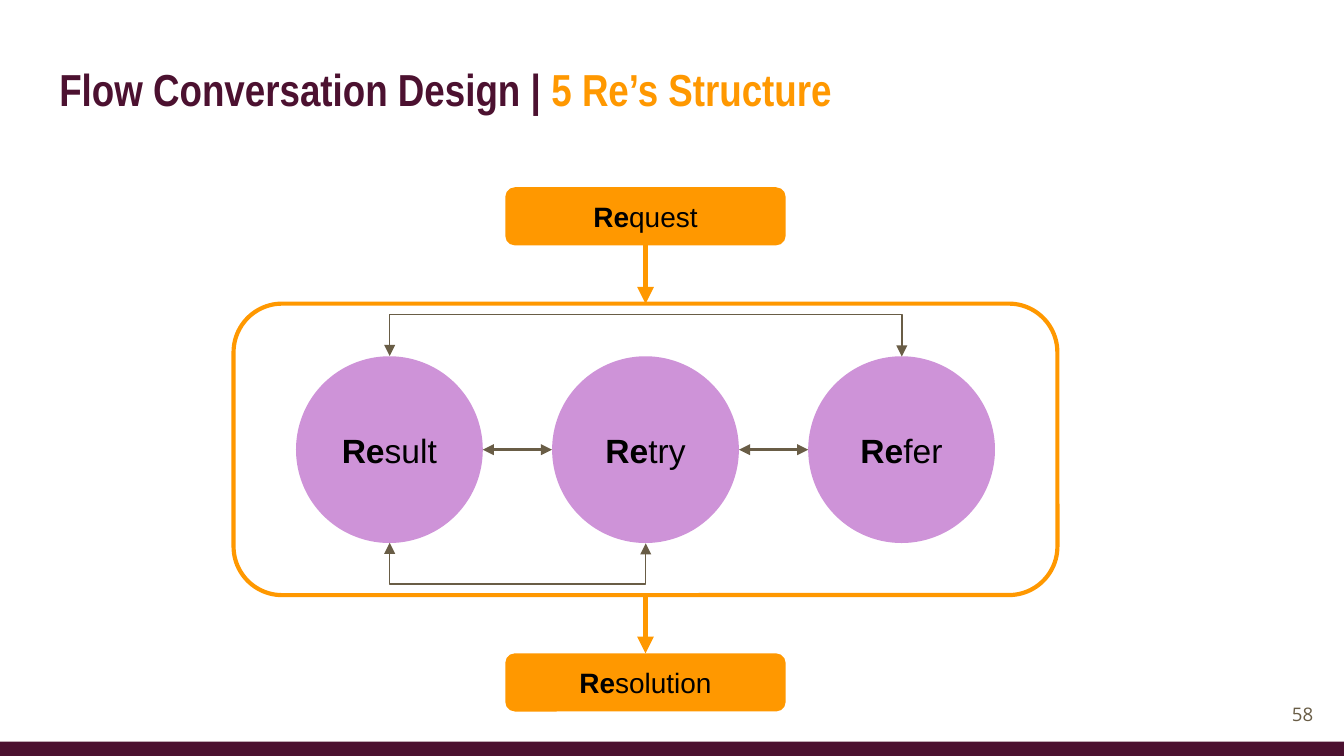
from dataclasses import dataclass

from lxml import etree
from pptx import Presentation
from pptx import util as u
from pptx.dml import color
from pptx.enum import shapes, text
from pptx.oxml import ns


@dataclass(frozen=True)
class Theme:
    plum: str = "4C1130"
    orange: str = "FF9800"
    lilac: str = "CE93D8"
    brown: str = "695D46"
    black: str = "000000"
    title_font: str = "Arial Narrow"
    body_font: str = "Arial"
    number_font: str = "Open Sans"
    title_size: int = 24
    circle_size: int = 18
    pill_size: int = 15
    number_size: int = 10


THEME = Theme()
CENTER_X, CENTER_Y = 12.2, 8.5
DIAMETER, STEP = 3.53, 4.84
FRAME_W, FRAME_H = 15.57, 5.51
PILL_W, PILL_H = 5.3, 1.1
FRAME_TOP, FRAME_BOTTOM = 5.74, 11.25
ARROW_LENGTH = 1.1


def rgb(value):
    return color.RGBColor.from_string(value)


def write(shape, spans, *, size, font=THEME.body_font, align=text.PP_ALIGN.CENTER):
    frame = shape.text_frame
    frame.word_wrap = True
    frame.auto_size = text.MSO_AUTO_SIZE.NONE
    frame.vertical_anchor = text.MSO_ANCHOR.MIDDLE
    frame.margin_left = frame.margin_right = u.Cm(0.25)
    frame.margin_top = frame.margin_bottom = u.Cm(0.25)
    para = frame.paragraphs[0]
    para.alignment = align
    for words, tint, bold in spans:
        span = para.add_run()
        span.text = words
        span.font.name = font
        span.font.size = u.Pt(size)
        span.font.bold = bold
        span.font.color.rgb = rgb(tint)


def add_box(page, kind, left, top, width, height, fill=None, line=None):
    box = page.shapes.add_shape(kind, u.Cm(left), u.Cm(top), u.Cm(width), u.Cm(height))
    box.shadow.inherit = False
    if fill:
        box.fill.solid()
        box.fill.fore_color.rgb = rgb(fill)
    else:
        box.fill.background()
    if line:
        box.line.color.rgb = rgb(line)
        box.line.width = u.Pt(2.25)
    else:
        box.line.fill.background()
    return box


def add_re_word(page, kind, center_x, center_y, width, height, ending, fill, size):
    box = add_box(page, kind, center_x - width / 2, center_y - height / 2, width, height, fill)
    write(box, [("Re", THEME.black, True), (ending, THEME.black, False)], size=size)


def add_arrow(page, start, end, tint, weight, both=False, kind=shapes.MSO_CONNECTOR.STRAIGHT):
    arrow = page.shapes.add_connector(kind, *(u.Cm(n) for n in (*start, *end)))
    arrow.line.color.rgb = rgb(tint)
    arrow.line.width = u.Pt(weight)
    outline = arrow.line._get_or_add_ln()
    for tag in ("a:headEnd", "a:tailEnd") if both else ("a:tailEnd",):
        etree.SubElement(outline, ns.qn(tag), type="triangle")
    etree.SubElement(arrow._element.spPr, ns.qn("a:effectLst"))
    return arrow


def add_loop(page, left, right, y, depth):
    middle, half, thin = (left + right) / 2, (right - left) / 2, 0.01
    loop = add_arrow(page, (middle + thin, y - half), (middle, y + half), THEME.brown, 0.75,
                     both=True, kind=shapes.MSO_CONNECTOR.ELBOW)
    properties = loop._element.spPr
    properties.find(ns.qn("a:xfrm")).set("rot", "16200000")
    guides = properties.find(ns.qn("a:prstGeom")).get_or_add_avLst()
    etree.SubElement(guides, ns.qn("a:gd"), name="adj1", fmla=f"val {round(depth / thin * 100000)}")


def add_title(page):
    title = page.shapes.title
    title.left, title.top = u.Cm(0.87), u.Cm(0.84)
    title.width, title.height = u.Cm(16.66), u.Cm(1.65)
    write(title, [("Flow Conversation Design | ", THEME.plum, True),
                  ("5 Re’s Structure", THEME.orange, True)],
          size=THEME.title_size, font=THEME.title_font, align=text.PP_ALIGN.LEFT)


def add_footer(page):
    add_box(page, shapes.MSO_SHAPE.RECTANGLE, 0, 14.02, 25.4, 0.27, THEME.plum)
    number = page.shapes.add_textbox(u.Cm(23.55), u.Cm(12.95), u.Cm(1.52), u.Cm(1.09))
    write(number, [("58", THEME.brown, False)], size=THEME.number_size,
          font=THEME.number_font, align=text.PP_ALIGN.RIGHT)


def add_circles(page):
    radius = DIAMETER / 2
    centers = [CENTER_X + offset * STEP for offset in (-1, 0, 1)]
    for center, ending in zip(centers, ("sult", "try", "fer")):
        add_re_word(page, shapes.MSO_SHAPE.OVAL, center, CENTER_Y, DIAMETER, DIAMETER,
                    ending, THEME.lilac, THEME.circle_size)
    for left, right in zip(centers, centers[1:]):
        add_arrow(page, (right - radius, CENTER_Y), (left + radius, CENTER_Y),
                  THEME.brown, 1.5, both=True)
    add_loop(page, centers[0], centers[1], CENTER_Y + radius, 0.78)
    add_loop(page, centers[0], centers[2], CENTER_Y - radius, -0.78)


def add_flow(page):
    pill = shapes.MSO_SHAPE.ROUNDED_RECTANGLE
    add_box(page, pill, CENTER_X - FRAME_W / 2, FRAME_TOP, FRAME_W, FRAME_H, line=THEME.orange)
    request_bottom = FRAME_TOP - ARROW_LENGTH
    resolution_top = FRAME_BOTTOM + ARROW_LENGTH
    for center_y, ending in ((request_bottom - PILL_H / 2, "quest"),
                             (resolution_top + PILL_H / 2, "solution")):
        add_re_word(page, pill, CENTER_X, center_y, PILL_W, PILL_H,
                    ending, THEME.orange, THEME.pill_size)
    for top in (request_bottom, FRAME_BOTTOM):
        add_arrow(page, (CENTER_X, top), (CENTER_X, top + ARROW_LENGTH), THEME.orange, 3)


def main():
    deck = Presentation()
    deck.slide_width, deck.slide_height = u.Cm(25.4), u.Cm(14.29)
    page = deck.slides.add_slide(deck.slide_layouts[5])
    add_footer(page)
    add_title(page)
    add_circles(page)
    add_flow(page)
    deck.save("out.pptx")


if __name__ == "__main__":
    main()
